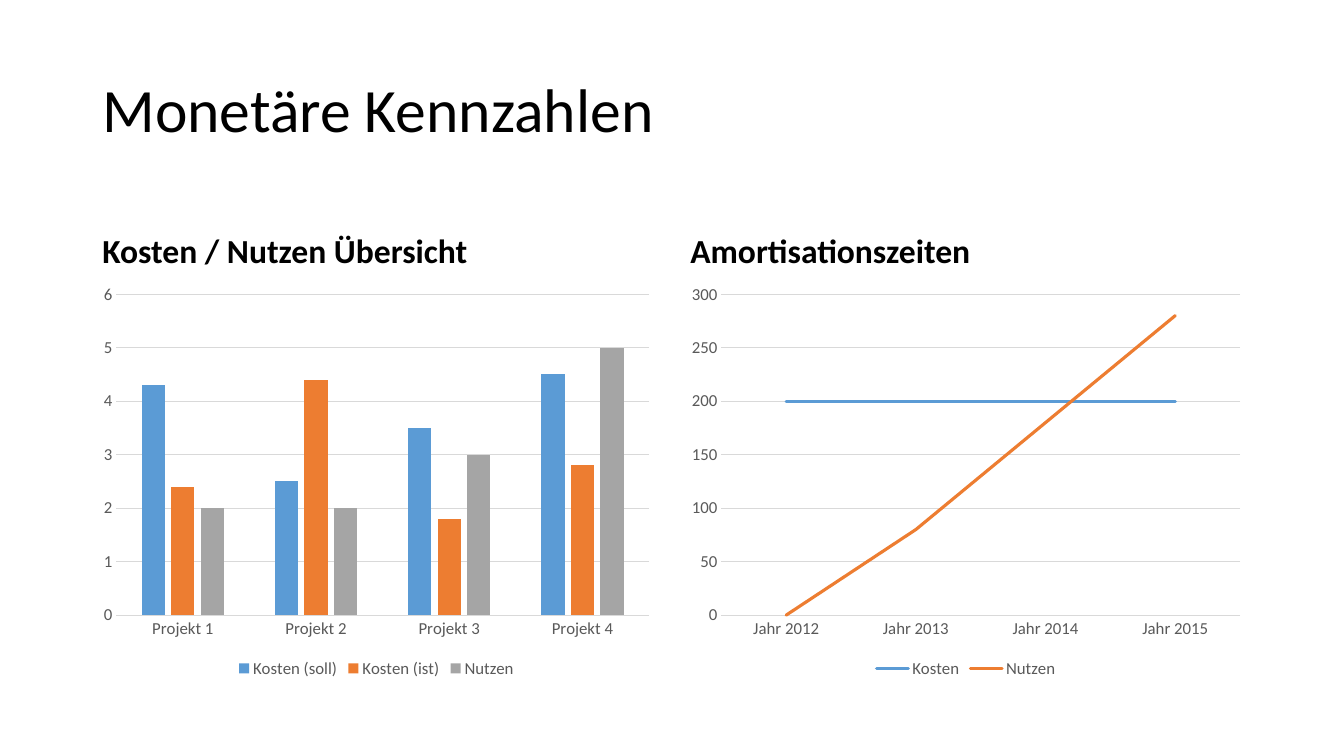
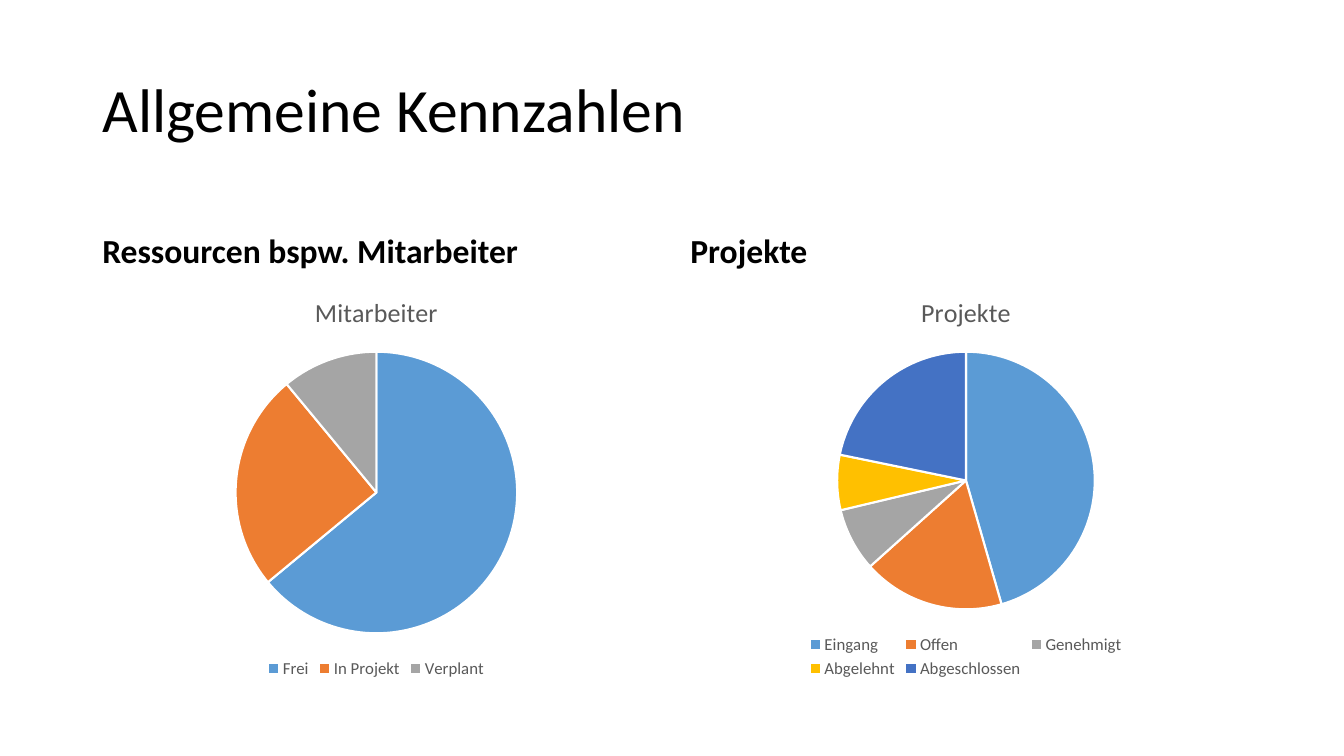
from pptx import Presentation
from pptx.chart.data import CategoryChartData
from pptx.dml.color import RGBColor
from pptx.enum.chart import XL_CHART_TYPE, XL_LEGEND_POSITION, XL_TICK_MARK
from pptx.enum.text import MSO_ANCHOR, MSO_AUTO_SIZE, PP_ALIGN
from pptx.util import Pt

COLUMN = XL_CHART_TYPE.COLUMN_CLUSTERED
LINE = XL_CHART_TYPE.LINE
PIE = XL_CHART_TYPE.PIE
LEGEND_BOTTOM = XL_LEGEND_POSITION.BOTTOM
NO_TICK = XL_TICK_MARK.NONE
MIDDLE, BOTTOM = MSO_ANCHOR.MIDDLE, MSO_ANCHOR.BOTTOM
LEFT = PP_ALIGN.LEFT
NO_AUTOFIT = MSO_AUTO_SIZE.NONE

EMU_PER_PX = 9525
TITLE_ONLY = 5
COLORS = {
    "text": "000000", "label": "595959", "grid": "D9D9D9", "white": "FFFFFF",
    "blue": "5B9BD5", "orange": "ED7D31", "gray": "A5A5A5",
    "yellow": "FFC000", "indigo": "4472C4",
}
PALETTE = ["blue", "orange", "gray", "yellow", "indigo"]

FONT = "Calibri"
TITLE_FONT = {"name": FONT, "size": Pt(44), "bold": False}
HEADING_FONT = {"name": FONT, "size": Pt(24), "bold": True}
CHART_FONT = {"name": FONT, "size": Pt(10)}
LABEL_FONT = {"name": FONT, "size": Pt(12), "bold": False}
CHART_TITLE_FONT = {"name": FONT, "size": Pt(18.6), "bold": False}

TITLE_BOX = (88, 38, 1104, 139)
COLUMNS = [(88, 541), (648, 544)]
HEADING_TOP, HEADING_HEIGHT = 177, 86
CHART_TOP, CHART_HEIGHT = 263, 387

SLIDES = [
    ("Monetäre Kennzahlen", [
        ("Kosten / Nutzen Übersicht", COLUMN,
         ["Projekt 1", "Projekt 2", "Projekt 3", "Projekt 4"],
         {"Kosten (soll)": [4.3, 2.5, 3.5, 4.5],
          "Kosten (ist)": [2.4, 4.4, 1.8, 2.8],
          "Nutzen": [2, 2, 3, 5]}),
        ("Amortisationszeiten", LINE,
         ["Jahr 2012", "Jahr 2013", "Jahr 2014", "Jahr 2015"],
         {"Kosten": [200, 200, 200, 200], "Nutzen": [0, 80, 180, 280]}),
    ]),
    ("Allgemeine Kennzahlen", [
        ("Ressourcen bspw. Mitarbeiter", PIE,
         ["Frei", "In Projekt", "Verplant"],
         {"Mitarbeiter": [64, 25, 11]}),
        ("Projekte", PIE,
         ["Eingang", "Offen", "Genehmigt", "Abgelehnt", "Abgeschlossen"],
         {"Projekte": [46, 18, 8, 7, 22]}),
    ]),
]


def px(*lengths):
    """Turn pixel lengths into EMU."""
    return [length * EMU_PER_PX for length in lengths]


def color(name):
    """Look up a named colour."""
    return RGBColor.from_string(COLORS[name])


def apply(target, values):
    """Set each attribute given in a dict."""
    for name, value in values.items():
        setattr(target, name, value)


def style_font(font, values, color_name):
    """Format a font and give it a colour."""
    apply(font, values)
    font.color.rgb = color(color_name)


def style_line(line, color_name, points):
    """Give a line its colour and width."""
    line.color.rgb = color(color_name)
    line.width = Pt(points)


def write_text(shape, text, font_values, anchor):
    """Fill a shape with one left-aligned paragraph."""
    frame = shape.text_frame
    apply(frame, {"word_wrap": True, "auto_size": NO_AUTOFIT,
                  "vertical_anchor": anchor})
    paragraph = frame.paragraphs[0]
    paragraph.text = text
    apply(paragraph, {"alignment": LEFT, "line_spacing": 0.9, "space_before": Pt(0)})
    style_font(paragraph.runs[0].font, font_values, "text")


def add_title(slide, text):
    """Place and format the slide title."""
    title = slide.shapes.title
    apply(title, dict(zip(("left", "top", "width", "height"), px(*TITLE_BOX))))
    write_text(title, text, TITLE_FONT, MIDDLE)


def add_heading(slide, left, width, text):
    """Add the bold heading above a chart."""
    box = slide.shapes.add_textbox(*px(left, HEADING_TOP, width, HEADING_HEIGHT))
    write_text(box, text, HEADING_FONT, BOTTOM)


def add_chart(slide, left, width, kind, categories, series_values):
    """Add a chart with a legend below it."""
    data = CategoryChartData()
    data.categories = categories
    for name, values in series_values.items():
        data.add_series(name, values)
    frame = slide.shapes.add_chart(
        kind, *px(left, CHART_TOP, width, CHART_HEIGHT), data)
    chart = frame.chart
    style_font(chart.font, CHART_FONT, "text")
    chart.has_legend = True
    apply(chart.legend, {"position": LEGEND_BOTTOM, "include_in_layout": False})
    style_font(chart.legend.font, LABEL_FONT, "label")
    chart.has_title = kind == PIE
    if kind == PIE:
        style_pie(chart)
    else:
        style_axes(chart)
        style_series(chart, kind)


def style_axes(chart):
    """Format both axes and the value gridlines."""
    for axis in (chart.category_axis, chart.value_axis):
        apply(axis, {"major_tick_mark": NO_TICK, "minor_tick_mark": NO_TICK})
        style_font(axis.tick_labels.font, LABEL_FONT, "label")
    style_line(chart.category_axis.format.line, "grid", 0.75)
    chart.value_axis.format.line.fill.background()
    style_line(chart.value_axis.major_gridlines.format.line, "grid", 0.75)


def style_series(chart, kind):
    """Colour the columns or lines of a chart."""
    plot = chart.plots[0]
    plot.vary_by_categories = False
    if kind == COLUMN:
        apply(plot, {"gap_width": 219, "overlap": -27})
    for series, color_name in zip(plot.series, PALETTE):
        if kind == LINE:
            series.smooth = False
            style_line(series.format.line, color_name, 2.25)
            for outline in series.format.line.fill._xPr.xpath("."):
                outline.set("cap", "rnd")
        else:
            series.format.fill.solid()
            series.format.fill.fore_color.rgb = color(color_name)


def style_pie(chart):
    """Title a pie after its series and colour its slices."""
    plot = chart.plots[0]
    plot.vary_by_categories = True
    series = plot.series[0]
    chart.chart_title.include_in_layout = False
    frame = chart.chart_title.text_frame
    frame.text = series.name
    style_font(frame.paragraphs[0].runs[0].font, CHART_TITLE_FONT, "label")
    for index, color_name in zip(range(len(series.values)), PALETTE):
        slice_format = series.points[index].format
        slice_format.fill.solid()
        slice_format.fill.fore_color.rgb = color(color_name)
        style_line(slice_format.line, "white", 1.5)


def main():
    """Build and save the presentation."""
    presentation = Presentation()
    presentation.slide_width, presentation.slide_height = px(1280, 720)
    for title, panels in SLIDES:
        slide = presentation.slides.add_slide(presentation.slide_layouts[TITLE_ONLY])
        add_title(slide, title)
        for (left, width), (heading, kind, categories, values) in zip(COLUMNS, panels):
            add_heading(slide, left, width, heading)
            add_chart(slide, left, width, kind, categories, values)
    presentation.save("out.pptx")


if __name__ == "__main__":
    main()
